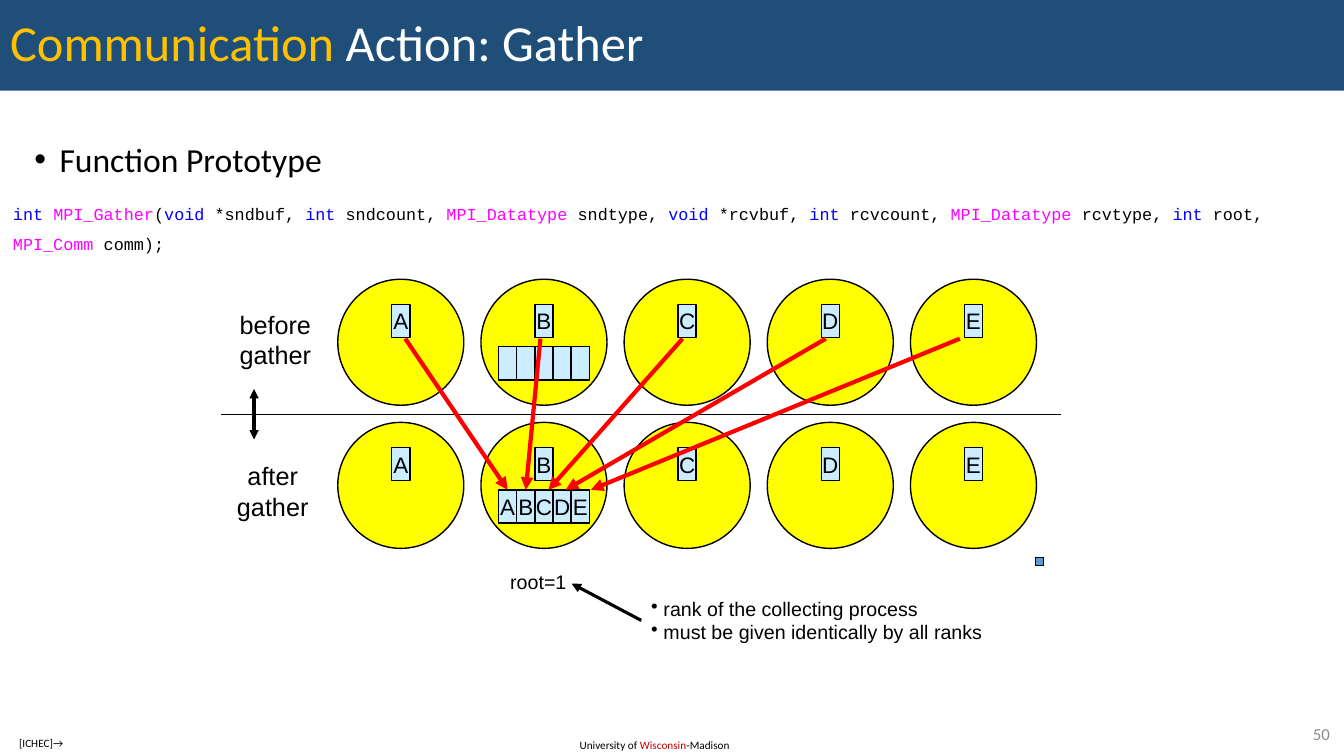
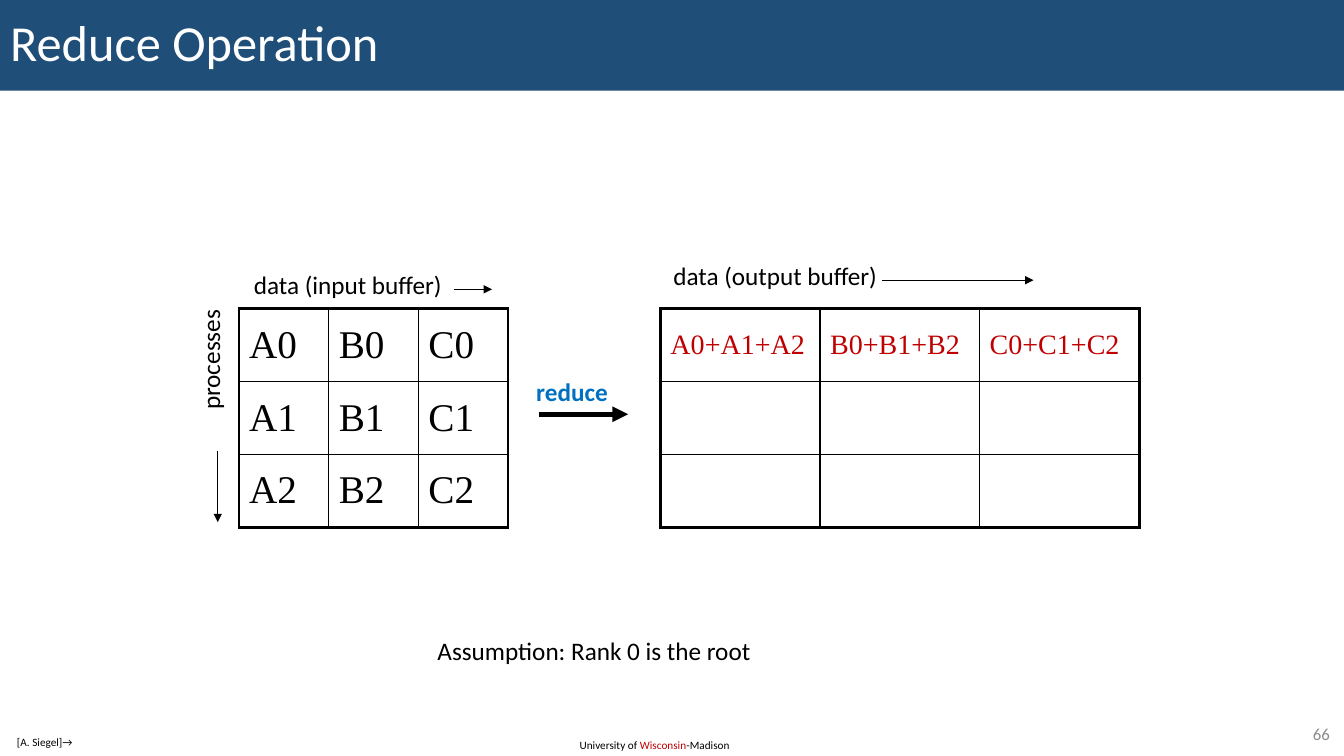
from dataclasses import dataclass
from typing import Any, NamedTuple

from lxml.etree import SubElement
from pptx import Presentation
from pptx.dml.color import RGBColor as Rgb
from pptx.enum.shapes import MSO_CONNECTOR as Conn, MSO_SHAPE as Kind
from pptx.enum.text import MSO_ANCHOR as Anchor, MSO_AUTO_SIZE as Fit, PP_ALIGN as Align
from pptx.oxml.ns import qn
from pptx.util import Inches, Pt


@dataclass(frozen=True)
class Theme:
    black: str = "000000"
    white: str = "FFFFFF"
    band: str = "1F4E79"
    gold: str = "FFC000"
    grey: str = "8C8C8C"
    crimson: str = "C00000"
    red: str = "FF0000"
    yellow: str = "FFFF00"
    pale: str = "CCECFF"
    mark: str = "5B9BD5"
    azure: str = "0070C0"
    blue: str = "0000FF"
    pink: str = "FF00FF"
    sans: str = "Calibri"
    plain: str = "Arial"
    mono: str = "Courier New"
    serif: str = "Times New Roman"
    title: int = 36
    head: int = 24
    label: int = 18
    box: int = 16
    note: int = 14
    small: int = 12
    foot: int = 8


T = Theme()


class Run(NamedTuple):
    text: str
    ink: str = T.black


class Rect(NamedTuple):
    x: float
    y: float
    w: float
    h: float


class Style(NamedTuple):
    size: int = T.label
    font: str = T.sans
    bold: bool = False
    para: dict[str, Any] = {}


class Arrow(NamedTuple):
    start: float
    end: float


class Grid(NamedTuple):
    area: Rect
    rows: list[list[str]]
    size: int
    ink: str


MID = {"alignment": Align.CENTER}
LABEL = Style(T.label, T.plain, para=MID)
NOTE = Style(T.note, T.plain)
LETTER = Style(T.box, T.plain, para=MID)

NAMES = "ABCDE"
STEP, DISC = 1.42, 1.25
LEFT, TOP = 3.35, 2.77
CELL_W, CELL_H = 0.18, 0.33
ROOT = 1
SENDS = [Arrow(4.02, 5.02), Arrow(5.36, 5.19), Arrow(6.77, 5.44),
         Arrow(8.19, 5.61), Arrow(9.52, 5.86)]
CODE = ("int |MPI_Gather|(|void| *sndbuf, |int |sndcount, |MPI_Datatype |sndtype, |"
        "void| *rcvbuf,| int |rcvcount, |MPI_Datatype |rcvtype, |int| root, |"
        "MPI_Comm |comm);")
GRIDS = [
    Grid(Rect(2.37, 3.06, 2.67, 2.17),
         [[f"{c}{n}" for c in "ABC"] for n in range(3)], 28, T.black),
    Grid(Rect(6.55, 3.06, 4.75, 2.17),
         [[f"{c}0+{c}1+{c}2" for c in "ABC"], [""] * 3, [""] * 3], 20, T.crimson),
]


def apply(obj: Any, fmt: dict[str, Any]) -> None:
    for key, val in fmt.items():
        setattr(obj, key, val)


def inch(area: Rect) -> list[int]:
    return [Inches(v) for v in area]


def place(shape: Any, area: Rect) -> None:
    apply(shape, dict(zip(("left", "top", "width", "height"), inch(area))))


def paint(shape: Any, ink: str) -> None:
    shape.fill.solid()
    shape.fill.fore_color.rgb = Rgb.from_string(ink)


def write(frame: Any, paras: list[list[Run]], style: Style) -> None:
    """Fill a text frame; a newline inside a run is a line break."""
    for i, runs in enumerate(paras):
        para = frame.add_paragraph() if i else frame.paragraphs[0]
        apply(para, style.para)
        for text, ink in runs:
            for j, part in enumerate(text.split("\n")):
                if j:
                    para.add_line_break()
                run = para.add_run()
                run.text = part
                apply(run.font, {"name": style.font, "size": Pt(style.size),
                                 "bold": style.bold})
                run.font.color.rgb = Rgb.from_string(ink)


def label(slide: Any, area: Rect, paras: list[list[Run]], style: Style = Style(),
          wrap: bool = True) -> Any:
    box = slide.shapes.add_textbox(*inch(area))
    apply(box.text_frame, {"word_wrap": wrap, "auto_size": Fit.SHAPE_TO_FIT_TEXT})
    write(box.text_frame, paras, style)
    return box


def shape(slide: Any, kind: Kind, area: Rect, ink: str, text: str = "") -> Any:
    item = slide.shapes.add_shape(kind, *inch(area))
    item.shadow.inherit = False
    paint(item, ink)
    item.line.color.rgb = Rgb.from_string(T.black)
    item.line.width = Pt(1)
    if text:
        apply(item.text_frame, {"word_wrap": False, "vertical_anchor": Anchor.MIDDLE})
        write(item.text_frame, [[Run(text)]], LETTER)
    return item


def line(slide: Any, x1: float, y1: float, x2: float, y2: float, width: float,
         ink: str = T.black, heads: tuple[str, ...] = ("tailEnd",)) -> Any:
    item = slide.shapes.add_connector(Conn.STRAIGHT, *inch(Rect(x1, y1, x2, y2)))
    item.line.color.rgb = Rgb.from_string(ink)
    item.line.width = Pt(width)
    props = item.line._get_or_add_ln()
    for head in heads:
        SubElement(props, qn(f"a:{head}"), type="triangle")
    SubElement(item._element.spPr, qn("a:effectLst"))
    return item


def table(slide: Any, grid: Grid) -> None:
    """Draw a grid with a heavy outer frame and thin inner rules."""
    rows, cols = len(grid.rows), len(grid.rows[0])
    tab = slide.shapes.add_table(rows, cols, *inch(grid.area)).table
    apply(tab, {"first_row": False, "horz_banding": False})
    for r, row in enumerate(grid.rows):
        for c, text in enumerate(row):
            cell = tab.cell(r, c)
            outer = {"lnL": c == 0, "lnR": c == cols - 1,
                     "lnT": r == 0, "lnB": r == rows - 1}
            for side, edge in outer.items():
                rule = SubElement(cell._tc.get_or_add_tcPr(), qn(f"a:{side}"),
                                  w=str(Pt(2.25 if edge else 1)))
                fill = SubElement(rule, qn("a:solidFill"))
                SubElement(fill, qn("a:srgbClr"), val=T.black)
            cell.fill.background()
            cell.vertical_anchor = Anchor.MIDDLE
            if text:
                write(cell.text_frame, [[Run(text, grid.ink)]], Style(grid.size, T.serif))


def start(deck: Any, layout: int, title: list[Run], page: int, credit: str,
          spot: Rect) -> Any:
    """Add a slide with the title band, footer, page number and credit."""
    slide = deck.slides.add_slide(deck.slide_layouts[layout])
    foot = Style(T.foot)
    label(slide, Rect(5.65, 7.28, 1.72, 0.24),
          [[Run("University of "), Run("Wisconsin", T.crimson), Run("-Madison")]], foot)
    band = slide.shapes.title
    place(band, Rect(0, 0, 13.33, 0.9))
    paint(band, T.band)
    apply(band.text_frame, {"vertical_anchor": Anchor.MIDDLE, "auto_size": Fit.NONE})
    write(band.text_frame, [title],
          Style(T.title, para={"alignment": Align.LEFT, "line_spacing": 0.9}))
    label(slide, Rect(12.53, 7.13, 0.76, 0.29), [[Run(str(page), T.grey)]],
          Style(T.small, para={"alignment": Align.RIGHT}))
    label(slide, spot, [[Run(credit)]], foot)
    return slide


def tint(token: str) -> Run:
    word = token.strip()
    if word in ("int", "void"):
        return Run(token, T.blue)
    return Run(token, T.pink if word.startswith("MPI_") else T.black)


def cells(slide: Any, y: float, texts: str) -> list[Any]:
    """Draw the root's receive buffer, centred in its disc."""
    x = LEFT + ROOT * STEP + (DISC - len(texts) * CELL_W) / 2
    return [shape(slide, Kind.RECTANGLE, Rect(x + i * CELL_W, y, CELL_W, CELL_H),
                  T.pale, text.strip()) for i, text in enumerate(texts)]


def gather(deck: Any) -> None:
    slide = start(deck, 1, [Run("Communication", T.gold), Run(" Action: Gather", T.white)],
                  50, "[ICHEC]→", Rect(0.09, 7.26, 0.72, 0.24))
    body = slide.placeholders[1]
    place(body, Rect(0.3, 1.42, 3.41, 0.37))
    pad = Inches(0.04)
    apply(body.text_frame, {"margin_left": pad, "margin_top": pad, "margin_right": pad,
                            "margin_bottom": 0, "auto_size": Fit.NONE})
    write(body.text_frame, [[Run("Function Prototype")]],
          Style(T.head, para={"line_spacing": 0.8, "space_before": Pt(10)}))
    props = body.text_frame.paragraphs[0]._p.get_or_add_pPr()
    props.set("marL", str(Inches(0.25)))
    props.set("indent", str(Inches(-0.25)))
    label(slide, Rect(0.03, 1.87, 13.11, 0.4), [[tint(t) for t in CODE.split("|")]],
          Style(T.small, T.mono, para={"line_spacing": 1.5}))

    for y in (TOP, TOP + STEP):
        for i, name in enumerate(NAMES):
            x = LEFT + i * STEP
            shape(slide, Kind.OVAL, Rect(x, y, DISC, DISC), T.yellow)
            shape(slide, Kind.RECTANGLE,
                  Rect(x + (DISC - CELL_W) / 2, y + 0.25, CELL_W, CELL_H), T.pale, name)
    cells(slide, TOP + 0.67, " " * len(NAMES))
    line(slide, 2.19, 4.11, 10.52, 4.11, 1, heads=())
    line(slide, 2.52, 3.86, 2.52, 4.36, 2.25, heads=("headEnd", "tailEnd"))
    label(slide, Rect(2.19, 3.02, 1.08, 0.71), [[Run("before\ngather")]], LABEL)
    label(slide, Rect(2.19, 4.52, 1.03, 0.71), [[Run("after\ngather")]], LABEL)

    slots = cells(slide, TOP + STEP + 0.67, NAMES)
    for send, slot in zip(SENDS, slots):
        arrow = line(slide, send.start, 3.36, send.end, 4.86, 3, T.red)
        if abs(slot.left + slot.width / 2 - Inches(send.end)) < Inches(0.03):
            arrow.end_connect(slot, 0)

    shape(slide, Kind.RECTANGLE, Rect(10.27, 5.53, 0.08, 0.08), T.mark)
    label(slide, Rect(4.96, 5.61, 0.76, 0.34), [[Run("root=1")]],
          NOTE._replace(para=MID), wrap=False)
    rules = label(slide, Rect(6.36, 5.87, 3.5, 0.57),
                  [[Run(" rank of the collecting process")],
                   [Run(" must be given identically by all ranks")]], NOTE, wrap=False)
    paint(rules, T.white)
    for para in rules.text_frame.paragraphs:
        SubElement(para._p.get_or_add_pPr(), qn("a:buChar"), char="•")
    line(slide, 6.36, 6.13, 5.67, 5.79, 2.25).begin_connect(rules, 1)


def reduce(deck: Any) -> None:
    slide = start(deck, 5, [Run("Reduce Operation", T.white)], 66, "[A. Siegel]→",
                  Rect(0.07, 7.25, 0.97, 0.24))
    for grid in GRIDS:
        table(slide, grid)
    line(slide, 5.35, 4.11, 6.23, 4.11, 3.75)
    label(slide, Rect(5.22, 3.68, 1.04, 0.4), [[Run("reduce", T.azure)]], Style(bold=True))
    side = label(slide, Rect(1.48, 3.36, 1.21, 0.4), [[Run("processes")]], wrap=False)
    side.rotation = 270
    for text, area in (("Assumption: Rank 0 is the root", Rect(4.24, 6.25, 3.35, 0.4)),
                       ("data (input buffer)", Rect(2.42, 2.62, 2.09, 0.4)),
                       ("data (output buffer)", Rect(6.58, 2.53, 2.25, 0.4))):
        label(slide, area, [[Run(text)]], wrap=False)
    for ends in ((2.16, 4.47, 2.16, 5.18), (4.5, 2.87, 4.88, 2.87),
                 (8.75, 2.78, 10.25, 2.78)):
        line(slide, *ends, 0.75)


def main() -> None:
    deck = Presentation()
    apply(deck, {"slide_width": Inches(13.33), "slide_height": Inches(7.5)})
    gather(deck)
    reduce(deck)
    deck.save("out.pptx")


if __name__ == "__main__":
    main()
